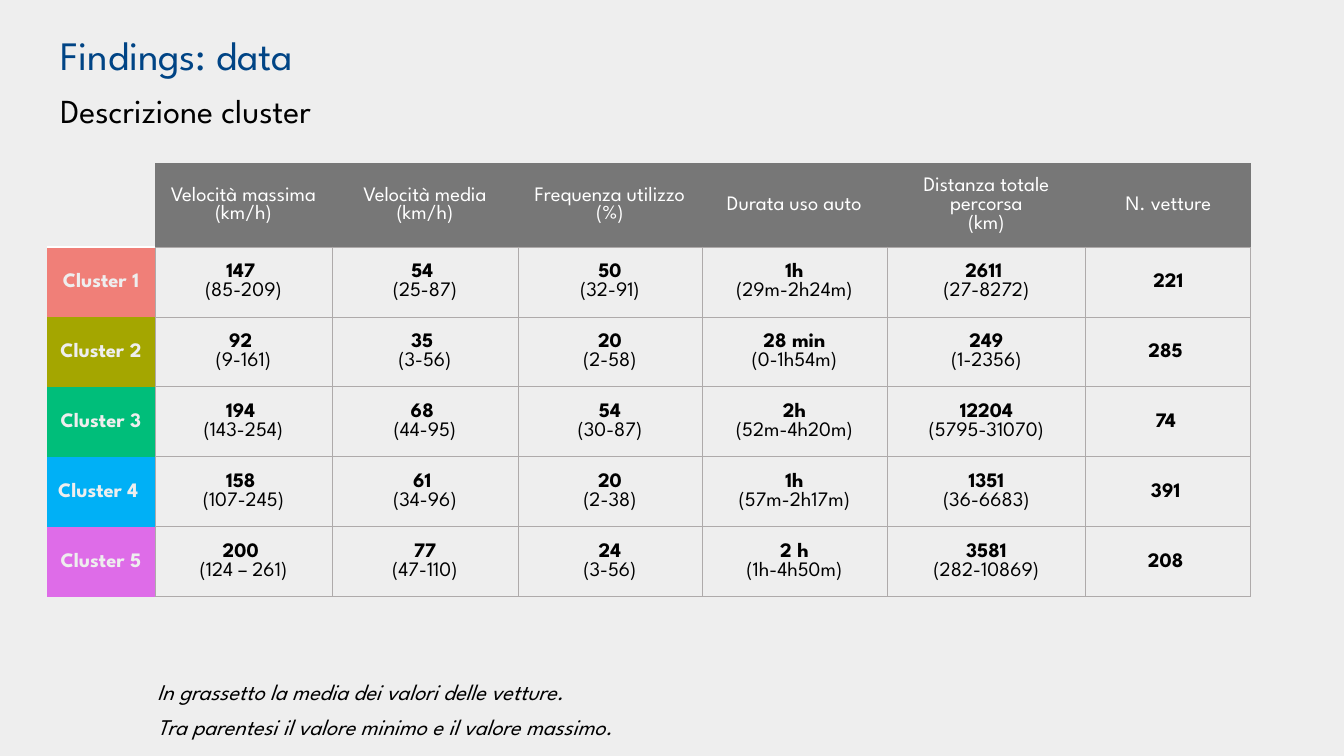
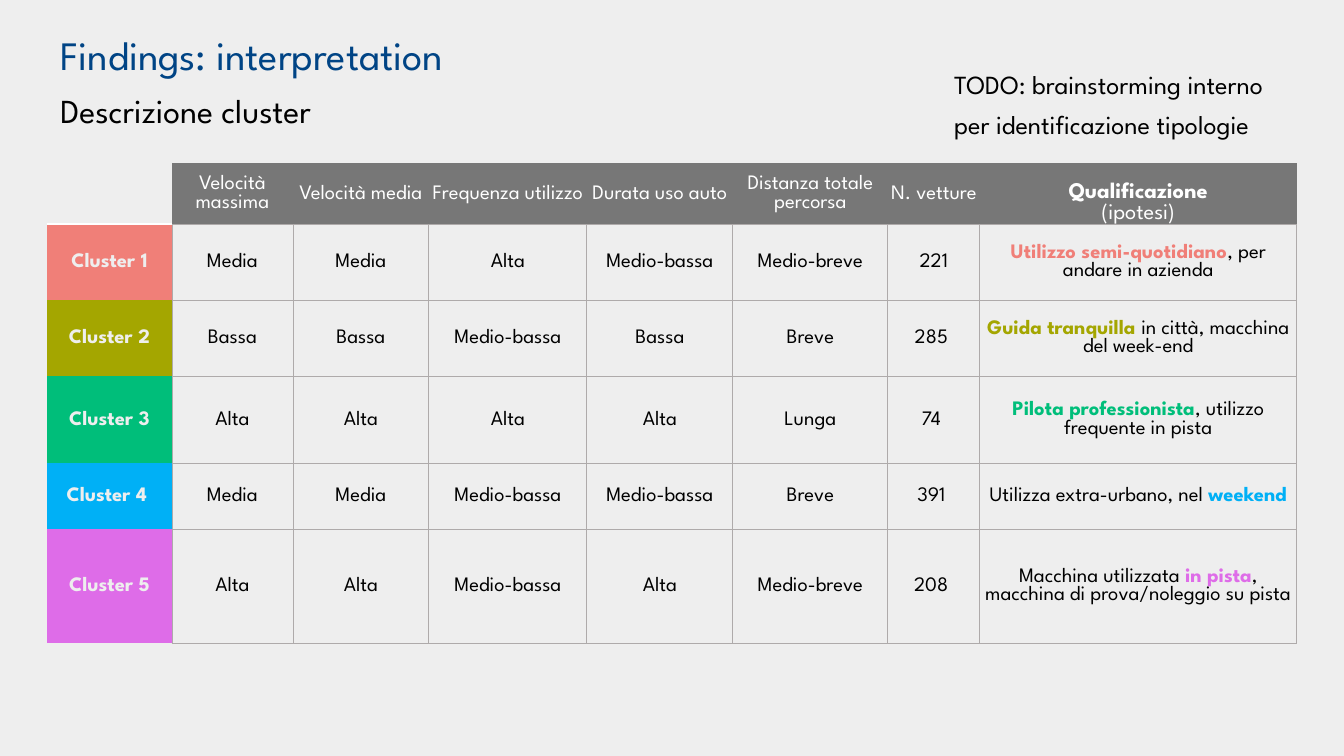
from lxml import etree
from pptx import Presentation
from pptx.dml.color import RGBColor
from pptx.enum.text import MSO_ANCHOR as ANCHOR, PP_ALIGN as ALIGN
from pptx.oxml.ns import qn
from pptx.util import Pt

PX = 914400 / 134.4
FONT = "League Spartan"
PAPER = RGBColor(0xEE, 0xEE, 0xEE)
WHITE = RGBColor(0xFF, 0xFF, 0xFF)
BLACK = RGBColor(0x00, 0x00, 0x00)
NAVY = RGBColor(0x00, 0x44, 0x85)
GREY = RGBColor(0x77, 0x77, 0x77)
RULE = RGBColor(0xAE, 0xAA, 0xAA)
CLUSTERS = [
    ("*Cluster 1*", RGBColor(0xF0, 0x7F, 0x78)),
    ("*Cluster 2*", RGBColor(0xA4, 0xA6, 0x00)),
    ("*Cluster 3*", RGBColor(0x00, 0xBE, 0x7A)),
    ("*Cluster 4 *", RGBColor(0x00, 0xB0, 0xF6)),
    ("*Cluster 5*", RGBColor(0xDE, 0x6C, 0xE8)),
]

SLIDES = [
    {
        "title": "Findings: data",
        "cols": [108, 177, 186, 184, 185, 199, 165],
        "rows": [84, 70, 70, 70, 70, 70],
        "head": ["Velocità massima (km/h)", "Velocità media\n(km/h)",
                 "Frequenza utilizzo\n(%)", "Durata uso auto",
                 "Distanza totale percorsa\n(km)", "N. vetture"],
        "body": [
            ["*147 *\n(85-209)", "*54 *\n(25-87)", "*50*\n(32-91)",
             "*1h*\n(29m-2h24m)", "*2611 *\n(27-8272)", "*221*"],
            ["*92 *\n(9-161)", "*35 *\n(3-56)", "*20*\n(2-58)",
             "*28 min*\n(0-1h54m)", "*249*\n(1-2356)", "*285 *"],
            ["*194 *\n(143-254)", "*68 *\n(44-95)", "*54*\n(30-87)",
             "*2h*\n(52m-4h20m)", "*12204*\n(5795-31070)", "*74 *"],
            ["*158 *\n(107-245)", "*61 *\n(34-96)", "*20*\n(2-38)",
             "*1h*\n(57m-2h17m)", "*1351*\n(36-6683)", "*391 *"],
            ["*200 *\n(124 – 261)", "*77*\n(47-110)", "*24*\n(3-56)",
             "*2 h*\n(1h-4h50m)", "*3581*\n(282-10869)", "*208 *"],
        ],
        "accents": [BLACK] * 5,
        "note": ("In grassetto la media dei valori delle vetture.\n"
                 "Tra parentesi il valore minimo e il valore massimo."),
        "note_box": (144, 664, 590, 67),
        "note_right": 13,
        "note_format": {"size": Pt(12), "italic": True},
    },
    {
        "title": "Findings: interpretation",
        "cols": [125, 121, 136, 158, 146, 155, 92, 317],
        "rows": [61, 76, 76, 87, 66, 114],
        "head": ["Velocità massima", "Velocità media", "Frequenza utilizzo",
                 "Durata uso auto", "Distanza totale percorsa", "N. vetture",
                 "*Qualificazione*\n(ipotesi)"],
        "body": [
            ["Media", "Media", "Alta", "Medio-bassa", "Medio-breve", "221",
             "*Utilizzo semi-quotidiano*, per andare in azienda"],
            ["Bassa", "Bassa", "Medio-bassa", "Bassa", "Breve", "285 ",
             "*Guida tranquilla *in città, macchina del week-end"],
            ["Alta", "Alta", "Alta", "Alta", "Lunga", "74 ",
             "*Pilota professionista*, utilizzo frequente in pista"],
            ["Media", "Media", "Medio-bassa", "Medio-bassa", "Breve", "391 ",
             "Utilizza extra-urbano, nel *weekend*"],
            ["Alta", "Alta", "Medio-bassa", "Alta", "Medio-breve", "208 ",
             "Macchina utilizzata *in pista*, macchina di prova/noleggio su pista"],
        ],
        "accents": [color for _, color in CLUSTERS],
        "note": "TODO: brainstorming interno per identificazione tipologie",
        "note_box": (941, 52, 403, 77),
        "note_right": 60,
        "note_format": {"size": Pt(14)},
    },
]


def write(tf, text, color, accent, align, spacing, fmt):
    for i, line in enumerate(text.split("\n")):
        p = tf.add_paragraph() if i else tf.paragraphs[0]
        p.alignment = align
        p.line_spacing = spacing
        for j, part in enumerate(line.split("*")):
            if part:
                r = p.add_run()
                r.text = part
                r.font.bold = j % 2 == 1
                r.font.color.rgb = accent if j % 2 else color
                for name, value in {"name": FONT, **fmt}.items():
                    setattr(r.font, name, value)


def fill_cell(cell, fill, borders):
    cell.fill.solid()
    cell.fill.fore_color.rgb = fill
    tcPr = cell._tc.get_or_add_tcPr()
    for i, side in enumerate("LRTB"):
        ln = etree.Element(qn(f"a:ln{side}"))
        if side in borders:
            color, width = borders[side]
            ln.set("w", str(Pt(width)))
            solid = etree.SubElement(ln, qn("a:solidFill"))
            etree.SubElement(solid, qn("a:srgbClr"), val=str(color))
        else:
            etree.SubElement(ln, qn("a:noFill"))
        tcPr.insert(i, ln)


prs = Presentation()
prs.slide_width = round(1344 * PX)
prs.slide_height = round(756 * PX)
bg = prs.slide_master.background.fill
bg.solid()
bg.fore_color.rgb = PAPER

for data in SLIDES:
    s = prs.slides.add_slide(prs.slide_layouts[5])

    title = s.shapes.title
    title.left, title.top, title.width, title.height = (
        round(v * PX) for v in (47, 44, 758, 58))
    tf = title.text_frame
    tf.word_wrap = True
    tf.vertical_anchor = ANCHOR.MIDDLE
    p = tf.paragraphs[0]
    p.alignment = ALIGN.LEFT
    p.line_spacing = 1.3
    for text, size, color in [(data["title"], 21.6, NAVY),
                              ("Descrizione cluster", 18, BLACK)]:
        if p.runs:
            p.add_line_break()
        r = p.add_run()
        r.text = text
        r.font.name = FONT
        r.font.size = Pt(size)
        r.font.color.rgb = color

    cols, rows = data["cols"], data["rows"]
    box = [round(v * PX) for v in (47, 163, sum(cols), sum(rows))]
    table = s.shapes.add_table(len(rows), len(cols), *box).table
    table.first_row = table.horz_banding = False
    for col, width in zip(table.columns, cols):
        col.width = round(width * PX)
    for row, height in zip(table.rows, rows):
        row.height = round(height * PX)

    grid = [["", *data["head"]]]
    grid += [[label, *cells] for (label, _), cells in zip(CLUSTERS, data["body"])]
    rule, white_rule = (RULE, 0.5), (WHITE, 1)
    for y, texts in enumerate(grid):
        for x, text in enumerate(texts):
            cell = table.cell(y, x)
            color = accent = WHITE
            if y == 0:
                fill = GREY if x else PAPER
                borders = {"B": rule if x else white_rule}
            elif x == 0:
                color = accent = PAPER
                fill = CLUSTERS[y - 1][1]
                borders = {"R": rule}
                if y == 1:
                    borders["T"] = white_rule
            else:
                color, accent = BLACK, data["accents"][y - 1]
                fill = PAPER
                borders = dict.fromkeys("LRTB", rule)
            fill_cell(cell, fill, borders)
            tall = text.startswith("*Qualificazione")
            margins = {"margin_left": 1, "margin_right": 1,
                       "margin_top": 20 if tall else 1, "margin_bottom": 0}
            for name, value in margins.items():
                setattr(cell, name, round(value * PX))
            cell.vertical_anchor = ANCHOR.TOP if tall else ANCHOR.MIDDLE
            write(cell.text_frame, text, color, accent, ALIGN.CENTER, None,
                  {"size": Pt(12 if tall else 11)})

    sp = s.shapes.add_textbox(*(round(v * PX) for v in data["note_box"]))
    tf = sp.text_frame
    tf.word_wrap = True
    tf.margin_right = round(data["note_right"] * PX)
    write(tf, data["note"], BLACK, BLACK, ALIGN.LEFT, 1.3, data["note_format"])

prs.save("out.pptx")
